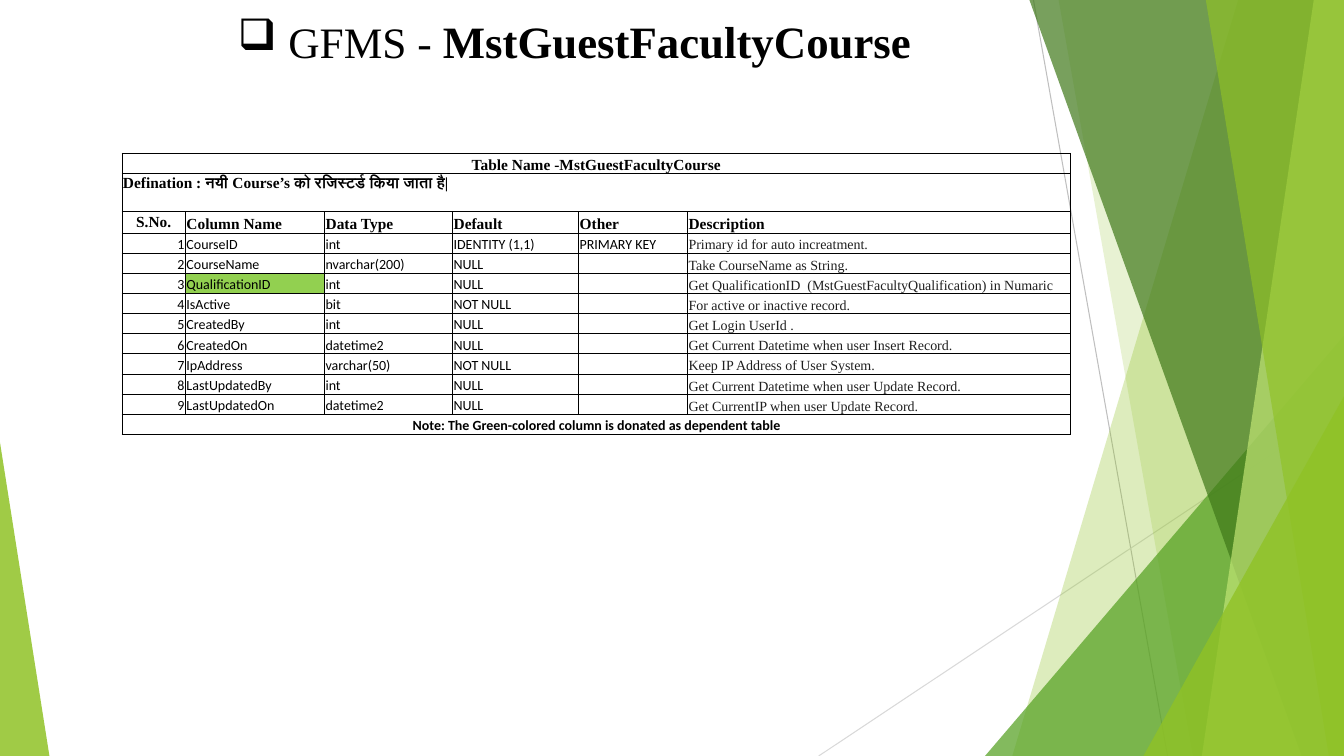
from lxml.etree import SubElement
from pptx import Presentation
from pptx.dml.color import RGBColor
from pptx.enum.shapes import MSO_CONNECTOR, MSO_SHAPE
from pptx.enum.text import MSO_ANCHOR as Anchor, MSO_AUTO_SIZE, PP_ALIGN as Align
from pptx.oxml.ns import qn
from pptx.util import Inches, Pt

WIDTH, HEIGHT = 13.33, 7.5
SERIF, SANS = "Times New Roman", "Calibri"
COLORS = {
    "black": "000000", "ink": "1F1F1F", "highlight": "92D050",
    "lime": "90C226", "green": "54A021", "forest": "3F7819", "pale": "C0E474",
    "steep line": "BFBFBF", "shallow line": "D9D9D9",
}
COLUMN_WIDTHS = [0.63, 1.38, 1.27, 1.25, 1.08, 3.8]
ROW = 0.2
HEADINGS = ["S.No.", "Column Name", "Data Type", "Default", "Other", "Description"]
FIELDS = [
    ("CourseID", "int", "IDENTITY (1,1)", "PRIMARY KEY", "Primary id for auto increatment."),
    ("CourseName", "nvarchar(200)", "NULL", "", "Take CourseName as String."),
    ("QualificationID", "int", "NULL", "",
     "Get QualificationID  (MstGuestFacultyQualification) in Numaric"),
    ("IsActive", "bit", "NOT NULL", "", "For active or inactive record."),
    ("CreatedBy", "int", "NULL", "", "Get Login UserId ."),
    ("CreatedOn", "datetime2", "NULL", "", "Get Current Datetime when user Insert Record."),
    ("IpAddress", "varchar(50)", "NOT NULL", "", "Keep IP Address of User System."),
    ("LastUpdatedBy", "int", "NULL", "", "Get Current Datetime when user Update Record."),
    ("LastUpdatedOn", "datetime2", "NULL", "", "Get CurrentIP when user Update Record."),
]
DEPENDENT_FIELD = "QualificationID"


def rgb(name):
    return RGBColor.from_string(COLORS[name])


def add_run(paragraph, text, size, font=SERIF, color="black", bold=False):
    run = paragraph.add_run()
    run.text = text
    run.font.size, run.font.name, run.font.bold = Pt(size), font, bold
    run.font.color.rgb = rgb(color)


def paint(facet, color, opacity):
    """Give a facet a see-through fill and no outline."""
    facet.shadow.inherit = False
    facet.line.fill.background()
    facet.fill.solid()
    facet.fill.fore_color.rgb = rgb(color)
    tint = facet.fill._xPr.find(qn("a:solidFill"))[0]
    SubElement(tint, qn("a:alpha")).set("val", str(opacity * 1000))


def add_hairline(slide, start, end, color):
    hairline = slide.shapes.add_connector(
        MSO_CONNECTOR.STRAIGHT, *map(Inches, start + end))
    hairline.line.color.rgb = rgb(color)
    hairline.line.width = Pt(0.75)
    SubElement(hairline._element.spPr, qn("a:effectLst"))


def add_pane(slide, top_x, bottom_x, color, opacity):
    """Full-height pane from a slanted left edge to the slide's right edge."""
    outline = slide.shapes.build_freeform(
        Inches(top_x), 0, scale=1.0)
    corners = [(WIDTH, 0), (WIDTH, HEIGHT), (bottom_x, HEIGHT)]
    outline.add_line_segments([(Inches(x), Inches(y)) for x, y in corners], close=True)
    paint(outline.convert_to_shape(), color, opacity)


def add_corner(slide, left, top, width, apex, color, opacity):
    """Right triangle standing on the bottom edge of the slide."""
    corner = slide.shapes.add_shape(
        MSO_SHAPE.ISOSCELES_TRIANGLE,
        *map(Inches, (left, top, width, HEIGHT - top)))
    corner.adjustments[0] = apex
    paint(corner, color, opacity)


def add_facets(slide):
    add_hairline(slide, (10.25, 0), (11.58, HEIGHT), "steep line")
    add_hairline(slide, (WIDTH, 4.03), (8.12, HEIGHT), "shallow line")
    add_pane(slide, 12.28, 10.04, "lime", 30)
    add_pane(slide, 10.5, 11.83, "lime", 20)
    add_corner(slide, 9.77, 3.33, WIDTH - 9.77, 1, "green", 72)
    add_pane(slide, 10.21, 12.91, "forest", 70)
    add_pane(slide, 13.03, 11.92, "pale", 70)
    add_pane(slide, 11.96, 13.18, "lime", 65)
    add_corner(slide, 11.34, 3.93, WIDTH - 11.34, 1, "lime", 80)
    add_corner(slide, 0, 4.39, 0.49, 0, "lime", 85)


def fill_title(slide, left, top, width, height):
    title = slide.shapes.title
    title.left, title.top, title.width, title.height = map(
        Inches, (left, top, width, height))
    frame = title.text_frame
    frame.word_wrap = True
    frame.auto_size = MSO_AUTO_SIZE.SHAPE_TO_FIT_TEXT
    heading = frame.paragraphs[0]
    heading.alignment = Align.CENTER
    properties = heading._p.get_or_add_pPr()
    properties.set("marL", str(Inches(0.5)))
    properties.set("indent", str(-Inches(0.5)))
    SubElement(properties, qn("a:buChar")).set("char", "❑")
    add_run(heading, "GFMS -", 31)
    add_run(heading, " MstGuestFacultyCourse", 32, bold=True)


def add_borders(cell):
    properties = cell._tc.get_or_add_tcPr()
    for side in ("lnL", "lnR", "lnT", "lnB"):
        border = SubElement(properties, qn(f"a:{side}"), w=str(Pt(0.5)))
        ink = SubElement(border, qn("a:solidFill"))
        SubElement(ink, qn("a:srgbClr")).set("val", COLORS["black"])


def write_cell(cell, text, size, align=Align.LEFT, anchor=Anchor.BOTTOM, **style):
    cell.vertical_anchor = anchor
    paragraph = cell.text_frame.paragraphs[0]
    paragraph.alignment = align
    if text:
        add_run(paragraph, text, size, **style)
    else:
        SubElement(paragraph._p, qn("a:endParaRPr")).set("sz", str(size * 100))


def write_banner(grid, row, text, size=11, **style):
    """Write one line across the whole width of the table."""
    grid.cell(row, 0).merge(grid.cell(row, len(HEADINGS) - 1))
    write_cell(grid.cell(row, 0), text, size, bold=True, **style)


def add_schema(slide, left, top):
    row_heights = [ROW, 0.38, 0.21] + [ROW] * (len(FIELDS) + 1)
    grid = slide.shapes.add_table(
        len(row_heights), len(COLUMN_WIDTHS), Inches(left), Inches(top),
        Inches(sum(COLUMN_WIDTHS)), Inches(sum(row_heights))).table
    grid.first_row = grid.horz_banding = False
    for column, width in zip(grid.columns, COLUMN_WIDTHS):
        column.width = Inches(width)
    for row, height in zip(grid.rows, row_heights):
        row.height = Inches(height)
    for cell in grid.iter_cells():
        cell.margin_left = cell.margin_right = cell.margin_top = Inches(0.01)
        cell.margin_bottom = 0
        add_borders(cell)
        cell.fill.background()

    write_banner(grid, 0, "Table Name -MstGuestFacultyCourse", align=Align.CENTER)
    write_banner(grid, 1, "Defination : नयी Course’s को रजिस्टर्ड किया जाता है|",
                 anchor=Anchor.TOP)
    for column, heading in enumerate(HEADINGS):
        placing = {} if column else {"align": Align.CENTER, "anchor": Anchor.MIDDLE}
        write_cell(grid.cell(2, column), heading, 11, bold=True, **placing)
    for number, (*facts, description) in enumerate(FIELDS, start=1):
        row = number + 2
        write_cell(grid.cell(row, 0), str(number), 10, Align.RIGHT, font=SANS)
        for column, fact in enumerate(facts, start=1):
            write_cell(grid.cell(row, column), fact, 10, font=SANS)
        write_cell(grid.cell(row, len(HEADINGS) - 1), description, 10, color="ink")
        if facts[0] == DEPENDENT_FIELD:
            name_fill = grid.cell(row, 1).fill
            name_fill.solid()
            name_fill.fore_color.rgb = rgb("highlight")
    write_banner(grid, len(row_heights) - 1,
                 "Note: The Green-colored column is donated as dependent table",
                 size=10, align=Align.CENTER, font=SANS)


def main():
    deck = Presentation()
    deck.slide_width, deck.slide_height = Inches(WIDTH), Inches(HEIGHT)
    slide = deck.slides.add_slide(deck.slide_layouts.get_by_name("Title Only"))
    add_facets(slide)
    fill_title(slide, 1.56, 0.08, 8.28, 0.64)
    add_schema(slide, 1.21, 1.52)
    deck.save("out.pptx")


if __name__ == "__main__":
    main()
